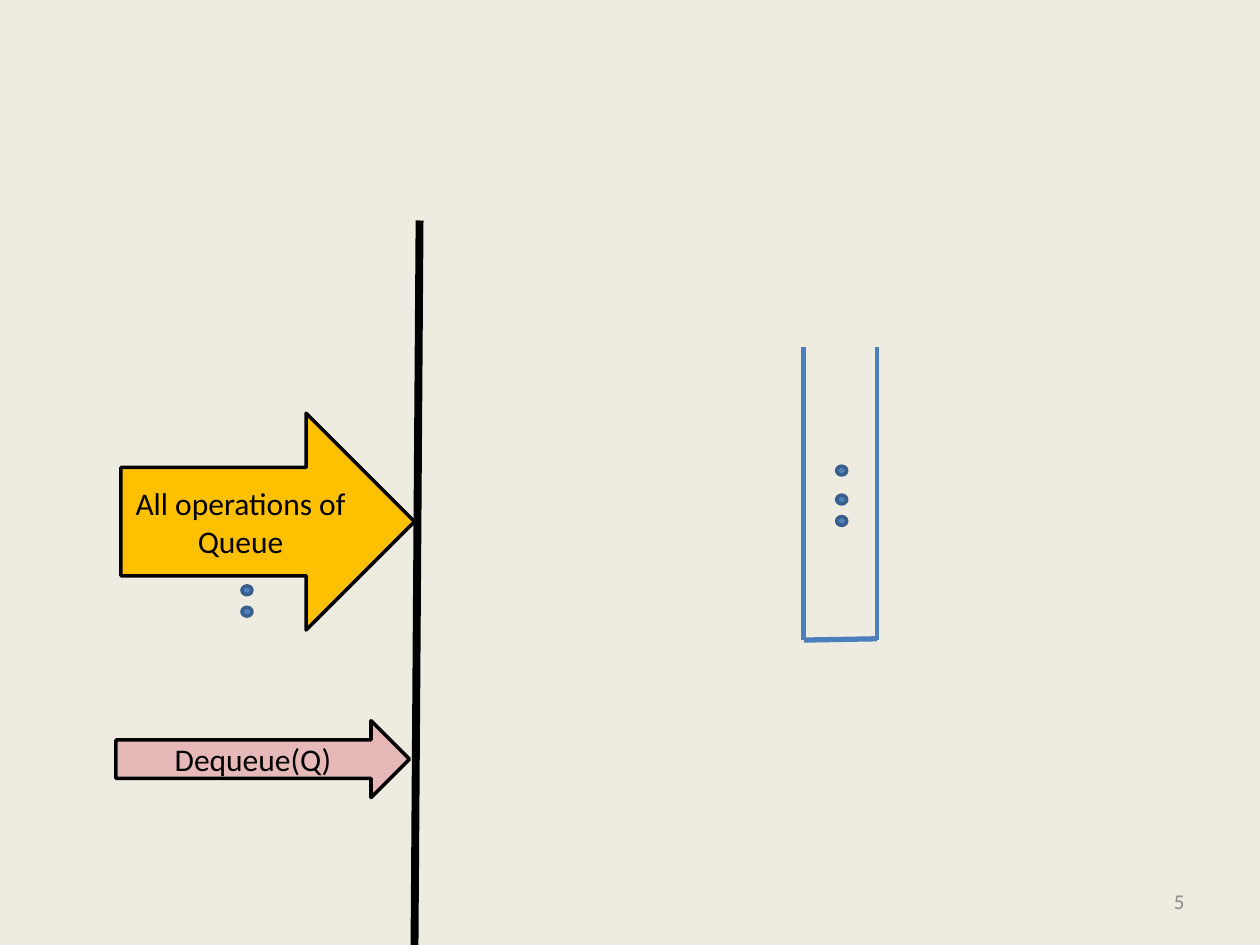
from typing import NamedTuple

from lxml.etree import SubElement
from pptx import Presentation
from pptx.dml.color import RGBColor
from pptx.enum.shapes import MSO_CONNECTOR, MSO_SHAPE
from pptx.enum.text import MSO_ANCHOR, PP_ALIGN
from pptx.oxml.ns import qn
from pptx.util import Inches, Pt

BACKGROUND = RGBColor(0xEE, 0xEC, 0xE1)
BLACK = RGBColor(0x00, 0x00, 0x00)
GRAY = RGBColor(0x8C, 0x8C, 0x8C)
STACK_BLUE = RGBColor(0x4B, 0x7E, 0xBC)
DOT_BLUE = RGBColor(0x4F, 0x81, 0xBD)
DOT_EDGE = RGBColor(0x3A, 0x5F, 0x8C)
PINK = RGBColor(0xE6, 0xB9, 0xB8)
AMBER = RGBColor(0xFF, 0xC0, 0x00)


class Rule(NamedTuple):
    start: tuple[float, float]
    end: tuple[float, float]
    color: RGBColor
    weight: float


class Arrow(NamedTuple):
    left: float
    top: float
    height: float
    fill: RGBColor
    label: str


STACK_LEFT, STACK_RIGHT, STACK_TOP, STACK_BOTTOM = 6.38, 6.96, 2.75, 5.08
RULES = [
    Rule((3.33, 1.75), (3.29, 7.5), BLACK, 4.5),
    Rule((STACK_LEFT, STACK_TOP), (STACK_LEFT, STACK_BOTTOM), STACK_BLUE, 3),
    Rule((STACK_RIGHT, STACK_TOP), (STACK_RIGHT, STACK_BOTTOM), STACK_BLUE, 2.25),
    Rule((STACK_LEFT, STACK_BOTTOM), (STACK_RIGHT, 5.07), STACK_BLUE, 3),
]
DOT_COLUMNS = {6.64: (3.7, 3.93, 4.1), 1.92: (4.65, 4.82)}
ARROW_WIDTH = 2.33
ARROWS = [
    Arrow(0.92, 5.72, 0.61, PINK, "Dequeue(Q)"),
    Arrow(0.96, 3.28, 1.72, AMBER, "All operations of Queue"),
]


def draw_rule(page, rule: Rule) -> None:
    ends = [Inches(value) for value in (*rule.start, *rule.end)]
    line = page.shapes.add_connector(MSO_CONNECTOR.STRAIGHT, *ends)
    line.line.color.rgb = rule.color
    line.line.width = Pt(rule.weight)
    SubElement(line._element.spPr, qn("a:effectLst"))


def draw_shape(page, kind: MSO_SHAPE, bounds: tuple[float, ...], fill: RGBColor, edge: RGBColor):
    shape = page.shapes.add_shape(kind, *map(Inches, bounds))
    shape.shadow.inherit = False
    shape.fill.solid()
    shape.fill.fore_color.rgb = fill
    shape.line.color.rgb = edge
    shape.line.width = Pt(2)
    return shape


def write(box, text: str, size: float, color: RGBColor, alignment: PP_ALIGN) -> None:
    frame = box.text_frame
    frame.word_wrap = True
    frame.vertical_anchor = MSO_ANCHOR.MIDDLE
    para = frame.paragraphs[0]
    para.alignment = alignment
    span = para.add_run()
    span.text = text
    for name, value in {"name": "Calibri", "size": Pt(size)}.items():
        setattr(span.font, name, value)
    span.font.color.rgb = color


def draw_arrow(page, arrow: Arrow) -> None:
    bounds = (arrow.left, arrow.top, ARROW_WIDTH, arrow.height)
    shape = draw_shape(page, MSO_SHAPE.RIGHT_ARROW, bounds, arrow.fill, BLACK)
    write(shape, arrow.label, 18, BLACK, PP_ALIGN.CENTER)


def main() -> None:
    """Build the slide showing queue operations beside a stack."""
    deck = Presentation()
    deck.slide_width, deck.slide_height = Inches(10), Inches(7.5)
    page = deck.slides.add_slide(deck.slide_layouts[6])
    page.background.fill.solid()
    page.background.fill.fore_color.rgb = BACKGROUND

    number = page.shapes.add_textbox(Inches(7.17), Inches(6.95), Inches(2.33), Inches(0.4))
    write(number, "5", 12, GRAY, PP_ALIGN.RIGHT)
    for rule in RULES:
        draw_rule(page, rule)
    for left, tops in DOT_COLUMNS.items():
        for top in tops:
            draw_shape(page, MSO_SHAPE.OVAL, (left, top, 0.08, 0.07), DOT_BLUE, DOT_EDGE)
    for arrow in ARROWS:
        draw_arrow(page, arrow)
    deck.save("out.pptx")


if __name__ == "__main__":
    main()
